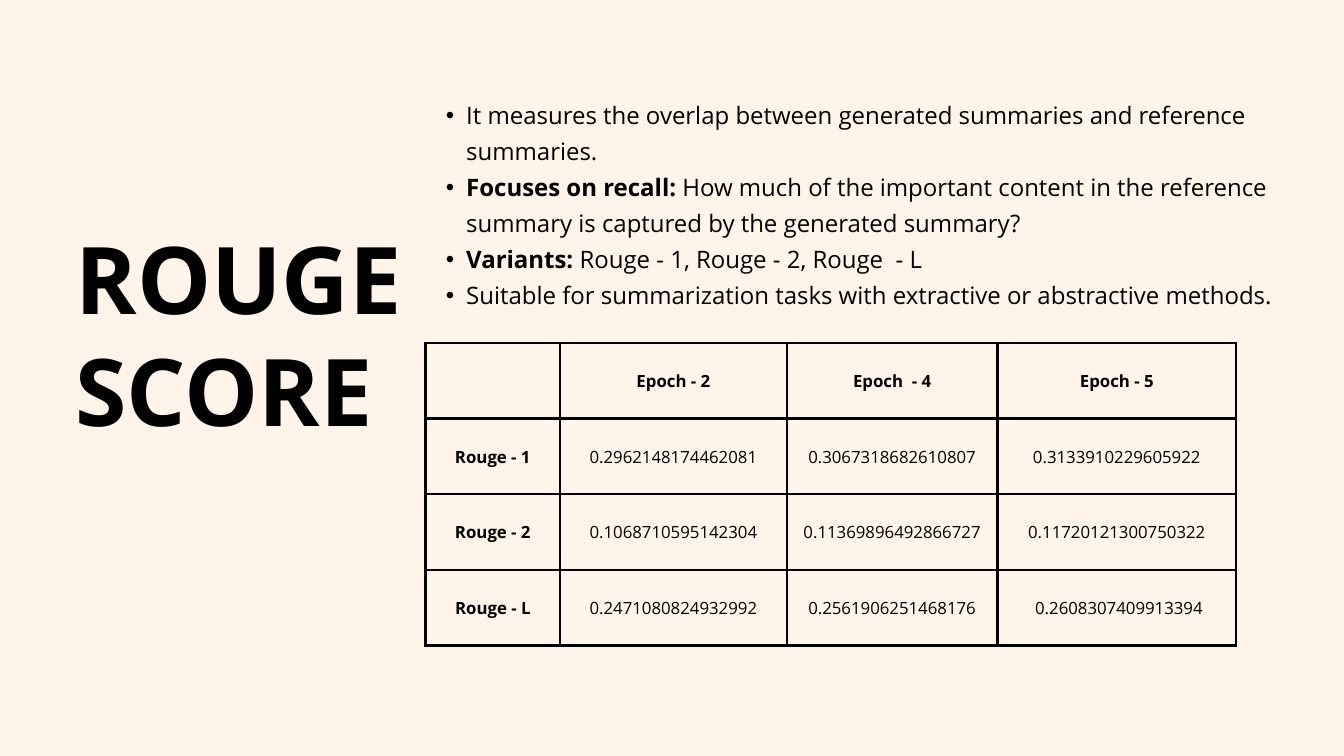
from dataclasses import dataclass

from lxml.etree import SubElement as Sub
from pptx import Presentation
from pptx.dml.color import RGBColor as Rgb
from pptx.enum.text import MSO_ANCHOR as Anchor, MSO_AUTO_SIZE as Fit, PP_ALIGN as Align
from pptx.oxml.ns import qn
from pptx.util import Pt

PX = 9525


@dataclass(frozen=True)
class Theme:
    font: str = "Open Sans"
    ink: str = "000000"
    paper: str = "FFF4EA"
    title: float = 100
    body: float = 25.7
    cell: float = 18
    rule: float = 3


THEME = Theme()

POINTS = [
    ("", "It measures the overlap between generated summaries and reference summaries."),
    ("Focuses on recall:", " How much of the important content in the reference summary"
     " is captured by the generated summary?"),
    ("Variants:", " Rouge - 1, Rouge - 2, Rouge  - L"),
    ("", "Suitable for summarization tasks with extractive or abstractive methods."),
]

SCORES = [
    ["", "Epoch - 2", "Epoch  - 4", "Epoch - 5"],
    ["Rouge - 1", "0.2962148174462081", "0.3067318682610807", "0.3133910229605922"],
    ["Rouge - 2", "0.1068710595142304", "0.11369896492866727", "0.11720121300750322"],
    ["Rouge - L", "0.2471080824932992", "0.2561906251468176", " 0.2608307409913394"],
]


def scale(*box):
    return [n * PX for n in box]


def write(para, text, size, bold=False, lead=None, align=Align.LEFT):
    para.alignment = align
    para.line_spacing = Pt(lead)
    para.space_before = para.space_after = Pt(0)
    run = para.add_run()
    run.text = text
    font = run.font
    font.name, font.size, font.bold = THEME.font, Pt(size), bold
    font.color.rgb = Rgb.from_string(THEME.ink)


def place(holder, box):
    holder.left, holder.top, holder.width, holder.height = scale(*box)
    frame = holder.text_frame
    frame.margin_left = frame.margin_right = 0
    frame.margin_top = frame.margin_bottom = 0
    frame.word_wrap = True
    frame.auto_size = Fit.NONE
    frame.vertical_anchor = Anchor.TOP
    return frame


def bullet(para, left, hang):
    para.level = 1
    props = para._p.get_or_add_pPr()
    props.set("marL", str(left * PX))
    props.set("indent", str(-hang * PX))
    Sub(props, qn("a:buFont"), typeface="Arial")
    Sub(props, qn("a:buChar"), char="•")


def heading(slide, box):
    frame = place(slide.shapes.title, box)
    write(frame.paragraphs[0], "ROUGE SCORE", THEME.title, bold=True, lead=120)


def points(slide, box):
    frame = place(slide.placeholders[1], box)
    for i, (label, text) in enumerate(POINTS):
        para = frame.add_paragraph() if i else frame.paragraphs[0]
        bullet(para, 58, 29)
        if label:
            write(para, label, THEME.body, bold=True, lead=38.6)
        write(para, text, THEME.body, lead=38.6)


def border(cell):
    props = cell._tc.get_or_add_tcPr()
    for side in ("lnL", "lnR", "lnT", "lnB"):
        line = Sub(props, qn(f"a:{side}"), w=str(Pt(THEME.rule)))
        fill = Sub(line, qn("a:solidFill"))
        Sub(fill, qn("a:srgbClr"), val=THEME.ink)


def scores(slide, box, widths):
    rows, cols = len(SCORES), len(widths)
    table = slide.shapes.add_table(rows, cols, *scale(*box)).table
    table.first_row = table.horz_banding = False
    for col, width in zip(table.columns, widths):
        col.width = width * PX
    for r, row in enumerate(SCORES):
        table.rows[r].height = box[3] * PX // rows
        for c, text in enumerate(row):
            cell = table.cell(r, c)
            cell.margin_left = cell.margin_right = 20 * PX
            cell.margin_top = cell.margin_bottom = 20 * PX
            cell.vertical_anchor = Anchor.MIDDLE
            border(cell)
            cell.fill.background()
            if text:
                write(cell.text_frame.paragraphs[0], text, THEME.cell,
                      bold=r == 0 or c == 0, lead=25.2, align=Align.CENTER)


def main():
    deck = Presentation()
    deck.slide_width, deck.slide_height = scale(1920, 1080)
    slide = deck.slides.add_slide(deck.slide_layouts[1])
    back = slide.background.fill
    back.solid()
    back.fore_color.rgb = Rgb.from_string(THEME.paper)
    heading(slide, (108, 316, 576, 318))
    points(slide, (608, 133, 1221, 356))
    scores(slide, (608, 490, 1158, 432), (192, 324, 301, 341))
    deck.save("out.pptx")


if __name__ == "__main__":
    main()
